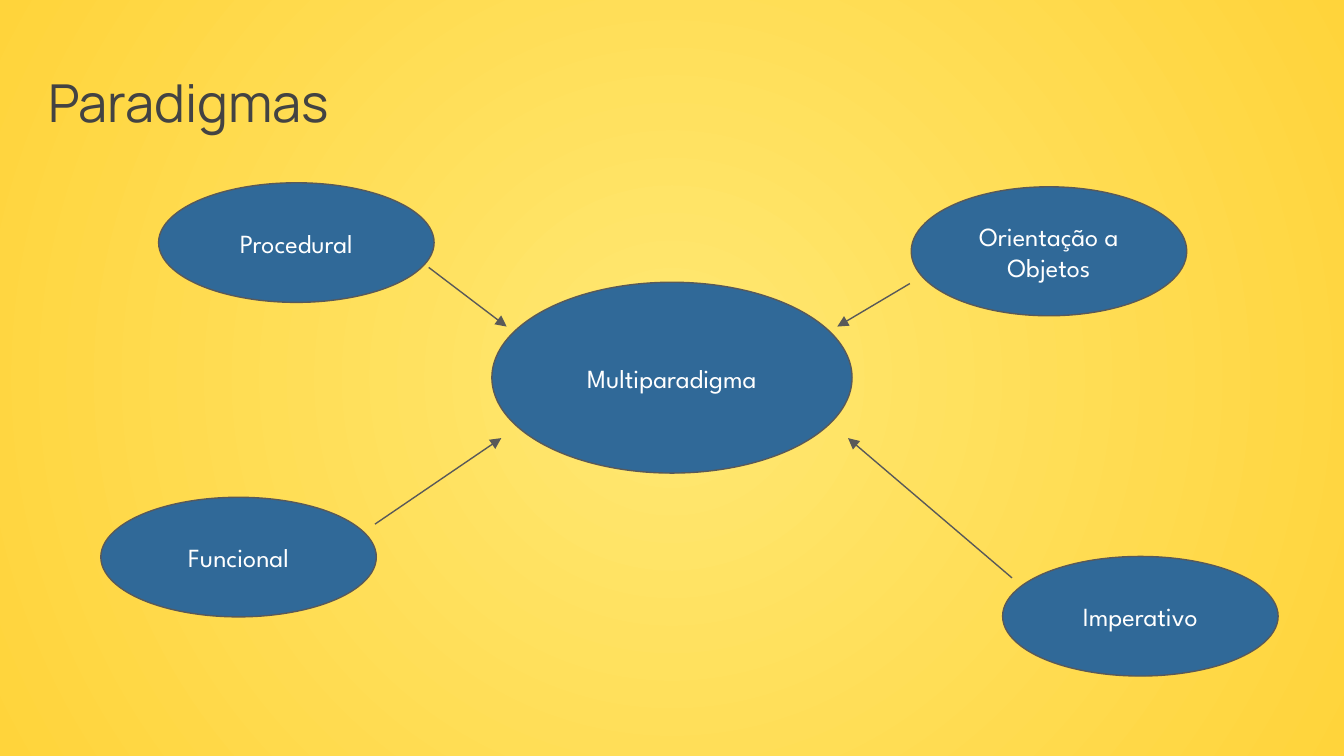
from lxml import etree
from pptx import Presentation
from pptx.dml.color import RGBColor
from pptx.enum import shapes, text
from pptx.oxml.ns import qn
from pptx.util import Inches, Pt

THEME = {
    "center": "FFE873", "edge": "FFD43B", "title": "434343",
    "node": "306998", "line": "595959", "label": "FFFFFF",
    "title_font": "Manrope", "label_font": "League Spartan",
    "title_size": 28, "label_size": 14, "line_width": 0.75,
}

TITLE = ("Paradigmas", (0.26, 0.42, 7.53, 0.63))
NODES = [
    ("Multiparadigma", (3.66, 2.1, 2.68, 1.42)),
    ("Funcional", (0.75, 3.7, 2.05, 0.89)),
    ("Orientação a Objetos", (6.78, 1.39, 2.05, 0.96)),
    ("Imperativo", (7.46, 4.14, 2.05, 0.89)),
    ("Procedural", (1.18, 1.36, 2.05, 0.89)),
]
ARROWS = [
    ((6.77, 2.11), (6.23, 2.43)),
    ((3.19, 1.99), (3.77, 2.43)),
    ((2.79, 3.9), (3.73, 3.26)),
    ((7.53, 4.3), (6.31, 3.26)),
]


def color(name):
    return RGBColor.from_string(THEME[name])


def inches(values):
    return [Inches(value) for value in values]


def write(box, words, *, role, align, anchor):
    frame = box.text_frame
    frame.word_wrap = True
    frame.vertical_anchor = anchor
    frame.margin_left = frame.margin_right = Inches(0.1)
    frame.margin_top = frame.margin_bottom = Inches(0.1)
    para = frame.paragraphs[0]
    para.alignment = align
    span = para.add_run()
    span.text = words
    span.font.name = THEME[role + "_font"]
    span.font.size = Pt(THEME[role + "_size"])
    span.font.color.rgb = color(role)


def outline(line):
    line.color.rgb = color("line")
    line.width = Pt(THEME["line_width"])


def paint_background(page):
    fill = page.background.fill
    fill.gradient()
    for stop, name in zip(fill.gradient_stops, ("center", "edge")):
        stop.color.rgb = color(name)
    gradient = page.element.find(".//" + qn("a:gradFill"))
    gradient.remove(gradient.find(qn("a:lin")))
    circle = etree.SubElement(gradient, qn("a:path"), {"path": "circle"})
    etree.SubElement(circle, qn("a:fillToRect"),
                     {side: "50000" for side in "ltrb"})


def add_node(page, words, place):
    node = page.shapes.add_shape(shapes.MSO_SHAPE.OVAL, *inches(place))
    node.shadow.inherit = False
    node.fill.solid()
    node.fill.fore_color.rgb = color("node")
    outline(node.line)
    write(node, words, role="label", align=text.PP_ALIGN.CENTER,
          anchor=text.MSO_ANCHOR.MIDDLE)


def add_arrow(page, start, end):
    arrow = page.shapes.add_connector(
        shapes.MSO_CONNECTOR.STRAIGHT, *inches(start + end))
    outline(arrow.line)
    properties = arrow.element.spPr
    etree.SubElement(properties.find(qn("a:ln")), qn("a:tailEnd"),
                     {"type": "triangle"})
    etree.SubElement(properties, qn("a:effectLst"))


def main():
    deck = Presentation()
    deck.slide_width = Inches(10)
    deck.slide_height = deck.slide_width * 9 // 16
    page = deck.slides.add_slide(deck.slide_layouts[6])
    paint_background(page)
    words, place = TITLE
    write(page.shapes.add_textbox(*inches(place)), words, role="title",
          align=text.PP_ALIGN.LEFT, anchor=text.MSO_ANCHOR.TOP)
    for words, place in NODES:
        add_node(page, words, place)
    for start, end in ARROWS:
        add_arrow(page, start, end)
    deck.save("out.pptx")


if __name__ == "__main__":
    main()
